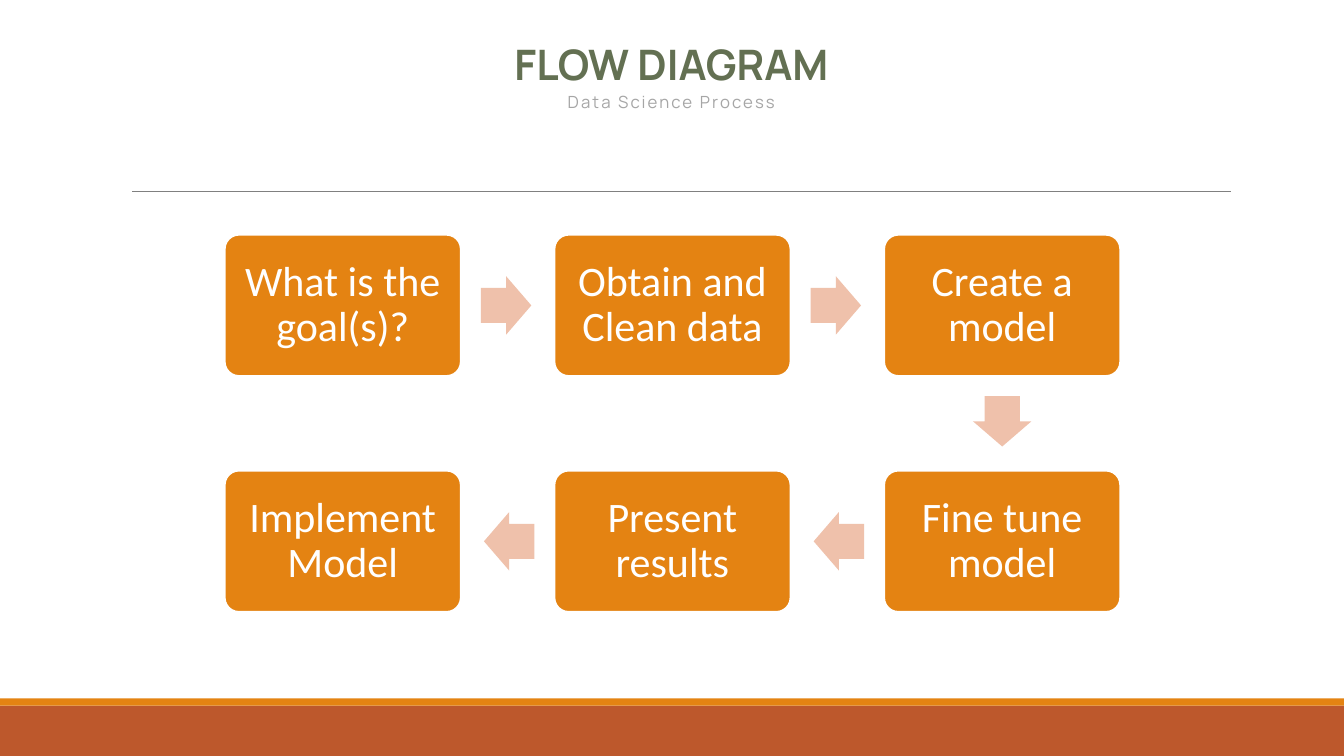
from dataclasses import dataclass

from lxml.etree import SubElement
from pptx import Presentation
from pptx.dml.color import RGBColor as Rgb
from pptx.enum.shapes import MSO_CONNECTOR as Conn, MSO_SHAPE as Kind
from pptx.enum.text import MSO_ANCHOR as Anchor, MSO_AUTO_SIZE as Fit, PP_ALIGN as Align
from pptx.oxml.ns import qn
from pptx.util import Inches, Pt


@dataclass
class Theme:
    orange: str = "E48312"
    rust: str = "BD582C"
    peach: str = "EFC1AB"
    green: str = "637052"
    gray: str = "A6A6A6"
    rule: str = "808080"
    white: str = "FFFFFF"
    head: str = "Manrope"
    body: str = "Calibri"
    big: int = 30
    small: int = 12


class Deck:
    def __init__(self, theme):
        self.theme = theme
        self.prs = Presentation()
        self.prs.slide_width = Inches(13.33)
        self.prs.slide_height = Inches(7.5)
        self.slide = self.prs.slides.add_slide(self.prs.slide_layouts[5])
        self.shapes = self.slide.shapes

    def style(self, frame, text, font, size, color, bold=False, space=0):
        frame.text = text
        para = frame.paragraphs[0]
        para.alignment = Align.CENTER
        run = para.runs[0]
        run.font.name = font
        run.font.size = Pt(size)
        run.font.bold = bold
        run.font.color.rgb = Rgb.from_string(color)
        if space:
            run._r.get_or_add_rPr().set("spc", str(int(space * 100)))
        return para

    def title(self, text, x, y, w, h):
        box = self.shapes.title
        box.left, box.top, box.width, box.height = map(Inches, (x, y, w, h))
        frame = box.text_frame
        frame.word_wrap = False
        frame.auto_size = Fit.NONE
        self.style(frame, text, self.theme.head, self.theme.big, self.theme.green, bold=True)

    def label(self, text, x, y, w, h):
        frame = self.shapes.add_textbox(*map(Inches, (x, y, w, h))).text_frame
        frame.word_wrap = False
        self.style(frame, text, self.theme.head, self.theme.small, self.theme.gray, space=1.5)

    def block(self, kind, x, y, w, h, fill):
        shape = self.shapes.add_shape(kind, *map(Inches, (x, y, w, h)))
        shape.shadow.inherit = False
        shape.fill.solid()
        shape.fill.fore_color.rgb = Rgb.from_string(fill)
        shape.line.fill.background()
        return shape

    def rule(self, x, y, end):
        line = self.shapes.add_connector(
            Conn.STRAIGHT, Inches(x), Inches(y), Inches(end), Inches(y))
        line.line.color.rgb = Rgb.from_string(self.theme.rule)
        line.line.width = Pt(0.5)
        SubElement(line._element.spPr, qn("a:effectLst"))

    def step(self, text, x, y, w, h):
        box = self.block(Kind.ROUNDED_RECTANGLE, x, y, w, h, self.theme.orange)
        box.adjustments[0] = 0.1
        box.line.color.rgb = Rgb.from_string(self.theme.white)
        box.line.width = Pt(1.25)
        frame = box.text_frame
        frame.word_wrap = True
        frame.vertical_anchor = Anchor.MIDDLE
        frame.margin_left = frame.margin_right = Inches(0.12)
        frame.margin_top = frame.margin_bottom = Inches(0.12)
        para = self.style(frame, text, self.theme.body, self.theme.big, self.theme.white)
        para.line_spacing = 0.9

    def arrow(self, x, y, turn):
        w, h = 0.5, 0.58
        shape = self.block(Kind.RIGHT_ARROW, x - w / 2, y - h / 2, w, h, self.theme.peach)
        shape.adjustments[0] = 0.6
        shape.adjustments[1] = 0.5
        shape.rotation = turn


def main():
    theme = Theme()
    deck = Deck(theme)

    # Footer bands and header rule
    deck.block(Kind.RECTANGLE, 0, 7, 13.33, 0.5, theme.rust)
    deck.block(Kind.RECTANGLE, 0, 6.93, 13.33, 0.07, theme.orange)
    deck.rule(1.31, 1.9, 12.21)

    # Heading
    deck.title("FLOW DIAGRAM", 4.9, 0.33, 3.52, 0.61)
    deck.label("Data Science Process", 5.45, 0.86, 2.42, 0.3)

    # Steps run right along the top row, then back along the bottom
    left, top, wide, high = 2.23, 2.33, 2.34, 1.4
    pitch, drop, gap = 3.27, 2.34, 0.45
    steps = [
        ("What is the goal(s)?", 0, 0), ("Obtain and Clean data", 1, 0),
        ("Create a model", 2, 0), ("Fine tune model", 2, 1),
        ("Present results", 1, 1), ("Implement Model", 0, 1),
    ]
    turns = {(1, 0): 0, (0, 1): 90, (-1, 0): 180}
    for i, (text, col, row) in enumerate(steps):
        x, y = left + col * pitch, top + row * drop
        deck.step(text, x, y, wide, high)
        if i + 1 < len(steps):
            dx, dy = steps[i + 1][1] - col, steps[i + 1][2] - row
            deck.arrow(x + wide / 2 + dx * (wide / 2 + gap),
                       y + high / 2 + dy * (high / 2 + gap), turns[dx, dy])

    deck.prs.save("out.pptx")


if __name__ == "__main__":
    main()
